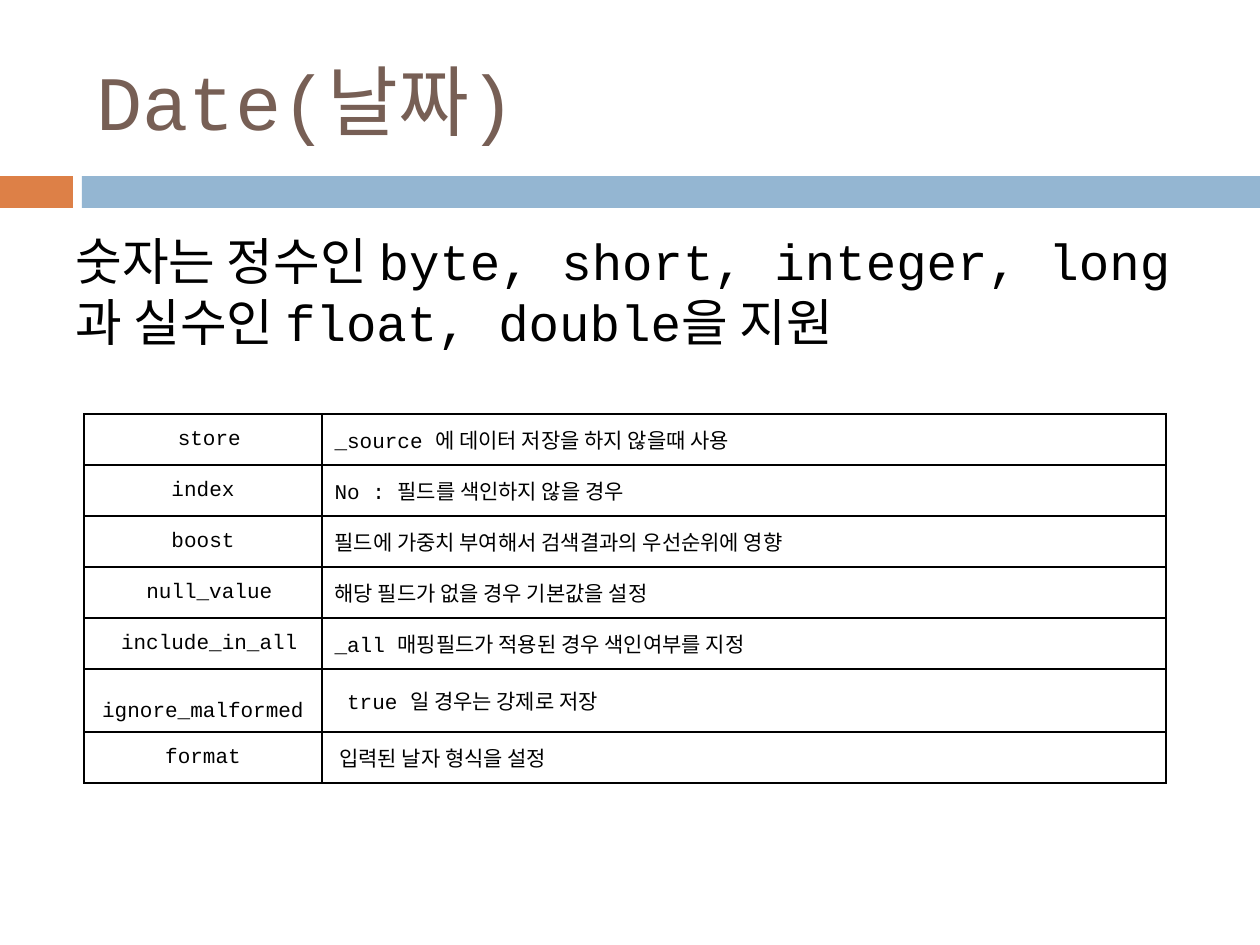
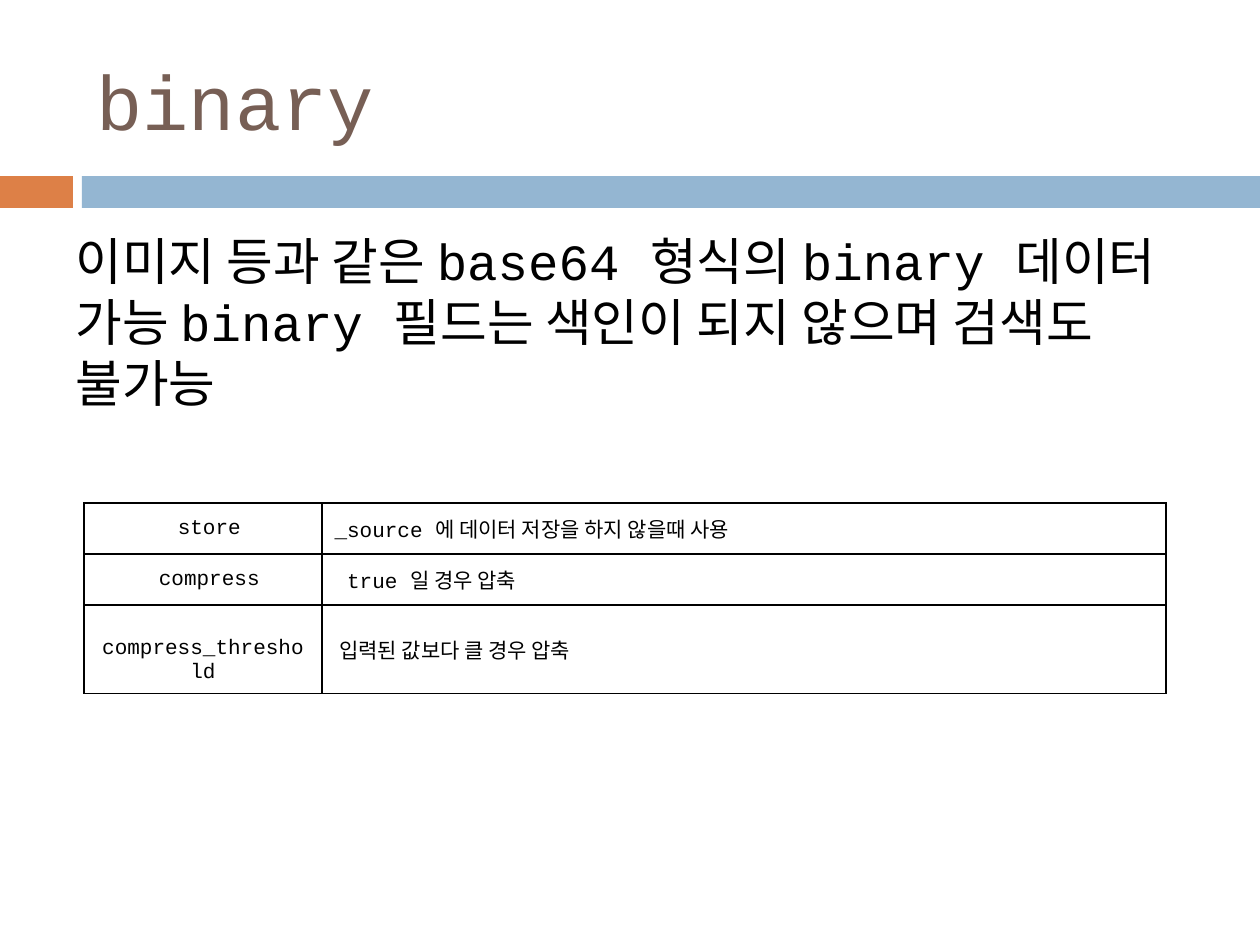
from lxml import etree
from pptx import Presentation
from pptx.dml.color import RGBColor
from pptx.enum.shapes import MSO_SHAPE as SHAPE
from pptx.enum.text import MSO_ANCHOR as ANCHOR, MSO_AUTO_SIZE as AUTO, PP_ALIGN as ALIGN
from pptx.oxml.ns import qn
from pptx.util import Pt

# Content
SLIDES = [
    {
        "title": "Date(날짜)",
        "body": "숫자는 정수인 byte, short, integer, long과 실수인 float, double을 지원",
        "table_top": 414,
        "options": [
            (" store", "_source 에 데이터 저장을 하지 않을때 사용"),
            ("index", "No : 필드를 색인하지 않을 경우"),
            ("boost", "필드에 가중치 부여해서 검색결과의 우선순위에 영향"),
            (" null_value", "해당 필드가 없을 경우 기본값을 설정"),
            (" include_in_all", "_all 매핑필드가 적용된 경우 색인여부를 지정"),
            (" ignore_malformed", " true 일 경우는 강제로 저장"),
            ("format", " 입력된 날자 형식을 설정"),
        ],
    },
    {
        "title": "binary",
        "body": "이미지 등과 같은 base64 형식의 binary 데이터 가능 "
                "binary 필드는 색인이 되지 않으며 검색도 불가능",
        "table_top": 503,
        "options": [
            (" store", "_source 에 데이터 저장을 하지 않을때 사용"),
            (" compress", " true 일 경우 압축"),
            (" compress_threshold", " 입력된 값보다 클 경우 압축"),
        ],
    },
]

# Shared style, lengths in px at 126 to the inch
EMU_PER_PX = 914400 // 126
SLIDE_W, SLIDE_H = 1260, 945
FONT = "Courier New"
TITLE_COLOR, TEXT_COLOR, WHITE = "775F55", "000000", "FFFFFF"
TITLE_BOX = (84, 32, 1124, 136)
BODY_BOX = (63, 224, 1134, 277)
BAND_TOP, BAND_H = 176, 32
BANDS = [(0, 73, "DD8047"), (82, SLIDE_W - 82, "94B6D2")]
TABLE_LEFT, COL_WIDTHS, ROW_H = 84, (238, 844), 51


def px(n):
    return n * EMU_PER_PX


def box(*lengths):
    return [px(n) for n in lengths]


def color(hex_code):
    return RGBColor.from_string(hex_code)


def write(tf, text, size, hex_code, align=ALIGN.LEFT):
    tf.text = text
    tf.word_wrap = True
    p = tf.paragraphs[0]
    p.alignment = align
    for r in p.runs:
        r.font.name = FONT
        r.font.size = Pt(size)
        r.font.color.rgb = color(hex_code)


def add_bands(s):
    for left, width, fill in BANDS:
        sp = s.shapes.add_shape(SHAPE.RECTANGLE, *box(left, BAND_TOP, width, BAND_H))
        sp.shadow.inherit = False
        sp.fill.solid()
        sp.fill.fore_color.rgb = color(fill)
        sp.line.fill.background()


def add_title(s, text):
    title = s.shapes.title
    title.left, title.top, title.width, title.height = box(*TITLE_BOX)
    tf = title.text_frame
    write(tf, text, 44, TITLE_COLOR)
    tf.auto_size = AUTO.NONE
    tf.vertical_anchor = ANCHOR.MIDDLE


def add_body(s, text):
    write(s.shapes.add_textbox(*box(*BODY_BOX)).text_frame, text, 29, TEXT_COLOR)


def add_borders(cell):
    tc_pr = cell._tc.get_or_add_tcPr()
    for side in ("lnL", "lnR", "lnT", "lnB"):
        ln = etree.SubElement(tc_pr, qn(f"a:{side}"), w=str(Pt(1)))
        fill = etree.SubElement(ln, qn("a:solidFill"))
        etree.SubElement(fill, qn("a:srgbClr"), val=TEXT_COLOR)


def add_options(s, options, top):
    frame = s.shapes.add_table(len(options), len(COL_WIDTHS),
                               *box(TABLE_LEFT, top, sum(COL_WIDTHS), ROW_H * len(options)))
    table = frame.table
    table.first_row = table.horz_banding = False
    for column, width in zip(table.columns, COL_WIDTHS):
        column.width = px(width)
    for row, texts in zip(table.rows, options):
        row.height = px(ROW_H)
        for cell, text, align in zip(row.cells, texts, (ALIGN.CENTER, ALIGN.LEFT)):
            write(cell.text_frame, text, 12, TEXT_COLOR, align)
            cell.vertical_anchor = ANCHOR.MIDDLE
            add_borders(cell)
            cell.fill.solid()
            cell.fill.fore_color.rgb = color(WHITE)


def main():
    prs = Presentation()
    prs.slide_width, prs.slide_height = box(SLIDE_W, SLIDE_H)
    for content in SLIDES:
        s = prs.slides.add_slide(prs.slide_layouts[5])
        add_bands(s)
        add_title(s, content["title"])
        add_body(s, content["body"])
        add_options(s, content["options"], content["table_top"])
    prs.save("out.pptx")


if __name__ == "__main__":
    main()
